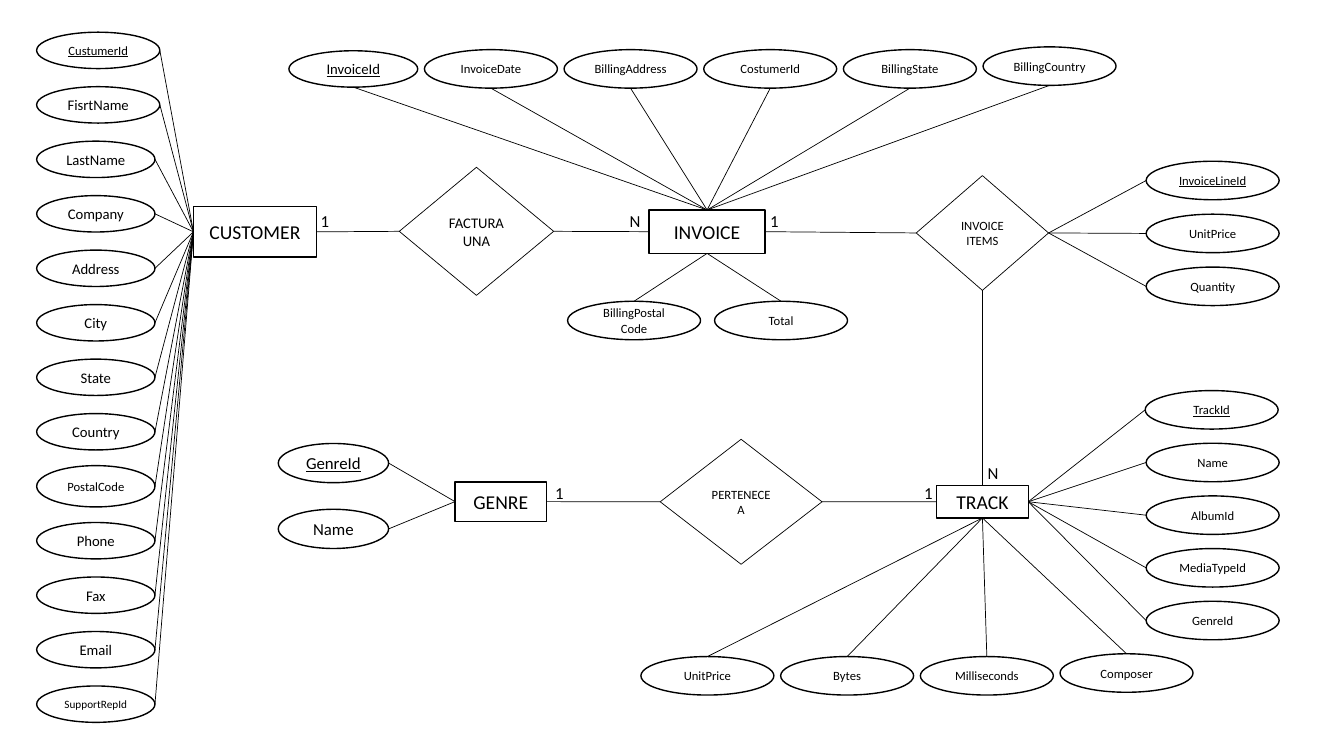
"""Build an entity-relationship diagram of a music store on one slide."""
from dataclasses import dataclass
from typing import NamedTuple

from lxml import etree
from pptx import Presentation
from pptx.dml.color import RGBColor
from pptx.enum.shapes import MSO_CONNECTOR, MSO_SHAPE
from pptx.enum.text import MSO_ANCHOR, MSO_AUTO_SIZE, PP_ALIGN
from pptx.oxml.ns import qn
from pptx.util import Pt

RECTANGLE, DIAMOND, OVAL = MSO_SHAPE.RECTANGLE, MSO_SHAPE.DIAMOND, MSO_SHAPE.OVAL
STRAIGHT = MSO_CONNECTOR.STRAIGHT
MIDDLE, CENTER, LEFT = MSO_ANCHOR.MIDDLE, PP_ALIGN.CENTER, PP_ALIGN.LEFT
GROW = MSO_AUTO_SIZE.SHAPE_TO_FIT_TEXT
SIDES = ("top", "left", "bottom", "right")
OPPOSITE = {"top": "bottom", "bottom": "top", "left": "right", "right": "left"}


@dataclass(frozen=True)
class Theme:
    """Colours, line weights and type sizes of the diagram."""
    font: str = "Calibri"
    ink: RGBColor = RGBColor(0, 0, 0)
    paper: RGBColor = RGBColor(255, 255, 255)
    outline: float = 1
    hairline: float = 0.5
    entity: float = 14
    label: float = 12
    medium: float = 10.5
    small: float = 9
    tiny: float = 8


class Box(NamedTuple):
    """Left, top, width and height in points."""
    left: float
    top: float
    width: float
    height: float

    def anchor(self, side):
        """Return the midpoint of one side."""
        across, down = {"top": (0.5, 0), "bottom": (0.5, 1),
                        "left": (0, 0.5), "right": (1, 0.5)}[side]
        return self.left + across * self.width, self.top + down * self.height


class Node(NamedTuple):
    """A drawn shape with its box and the spacing of its connection sites."""
    shape: object
    box: Box
    site_step: int


@dataclass(frozen=True)
class Attribute:
    """An attribute with any departure from its group's regular layout."""
    name: str
    size: float = 0
    key: bool = False
    width: float = 0
    height: float = 0
    dx: float = 0
    dy: float = 0


THEME = Theme()


def write(frame, text, size, align, underline=False):
    """Fill a text frame with one paragraph per line of text."""
    frame.word_wrap = True
    for index, words in enumerate(text.split("\n")):
        paragraph = frame.paragraphs[0] if index == 0 else frame.add_paragraph()
        paragraph.alignment = align
        run = paragraph.add_run()
        run.text = words
        run.font.name, run.font.size = THEME.font, Pt(size)
        run.font.color.rgb = THEME.ink
        if underline:
            run.font.underline = True


def draw_node(slide, box, kind, text, size, weight=THEME.outline, underline=False):
    """Draw an outlined shape with centred text."""
    shape = slide.shapes.add_shape(kind, *map(Pt, box))
    shape.shadow.inherit = False
    shape.fill.solid()
    shape.fill.fore_color.rgb = THEME.paper
    shape.line.color.rgb, shape.line.width = THEME.ink, Pt(weight)
    frame = shape.text_frame
    frame.margin_left = frame.margin_right = Pt(0)
    frame.vertical_anchor = MIDDLE
    write(frame, text, size, CENTER, underline)
    return Node(shape, box, 2 if kind == OVAL else 1)


def draw_entity(slide, box, name):
    """Draw an entity rectangle."""
    return draw_node(slide, box, RECTANGLE, name, THEME.entity)


def draw_relationship(slide, box, name, size=THEME.small):
    """Draw a relationship diamond."""
    return draw_node(slide, box, DIAMOND, name, size, THEME.hairline)


def join(slide, start, start_side, end, end_side):
    """Join two nodes with a line attached to both."""
    ends = (*start.box.anchor(start_side), *end.box.anchor(end_side))
    line = slide.shapes.add_connector(STRAIGHT, *map(Pt, ends))
    line.line.color.rgb, line.line.width = THEME.ink, Pt(THEME.hairline)
    etree.SubElement(line._element.spPr, qn("a:effectLst"))
    joints = line._element.nvCxnSpPr.cNvCxnSpPr
    for tag, node, side in (("a:stCxn", start, start_side), ("a:endCxn", end, end_side)):
        site = SIDES.index(side) * node.site_step
        etree.SubElement(joints, qn(tag), id=str(node.shape.shape_id), idx=str(site))


def draw_attributes(slide, box, owner, side, attributes, item=(95, 27.5), size=THEME.small):
    """Spread attribute ovals evenly over a box and join them to their owner."""
    width, height = item
    gaps = len(attributes) - 1
    across, down = (box.width - width) / gaps, (box.height - height) / gaps
    for index, attribute in enumerate(attributes):
        tall = attribute.height or height
        place = Box(box.left + index * across + attribute.dx,
                    box.top + index * down + attribute.dy + (height - tall) / 2,
                    attribute.width or width, tall)
        oval = draw_node(slide, place, OVAL, attribute.name, attribute.size or size,
                         underline=attribute.key)
        join(slide, owner, side, oval, OPPOSITE[side])


def draw_link(slide, relationship, entity, side, cardinality, offset):
    """Join a relationship to an entity and mark the cardinality."""
    join(slide, relationship, OPPOSITE[side], entity, side)
    x, y = entity.box.anchor(side)
    label = slide.shapes.add_textbox(Pt(x + offset[0]), Pt(y + offset[1]), Pt(24.5), Pt(21.8))
    label.text_frame.auto_size = GROW
    write(label.text_frame, cardinality, THEME.label, LEFT)


def draw_customer(slide, box):
    """Draw the customer entity and its column of attributes."""
    customer = draw_entity(slide, box, "CUSTOMER")
    plain = "LastName Company Address City State Country".split()
    attributes = [Attribute("CustumerId", THEME.small, key=True, width=88),
                  Attribute("FisrtName", width=88), *map(Attribute, plain),
                  Attribute("PostalCode", THEME.small, height=29.5),
                  *map(Attribute, ("Phone", "Fax", "Email")),
                  Attribute("SupportRepId", THEME.tiny)]
    column = Box(box.left - 112, box.top - 124.6, 84.5, 493)
    draw_attributes(slide, column, customer, "left", attributes, (84.5, 26), THEME.medium)
    return customer


def draw_invoice(slide, box):
    """Draw the invoice entity with attributes above and below."""
    invoice = draw_entity(slide, box, "INVOICE")
    above = [Attribute("InvoiceId", THEME.medium, key=True, width=92, height=26, dx=3),
             *map(Attribute, ("InvoiceDate", "BillingAddress", "CostumerId", "BillingState")),
             Attribute("BillingCountry", dy=-2)]
    below = [Attribute("BillingPostal\nCode"), Attribute("Total")]
    draw_attributes(slide, Box(box.left - 260.2, box.top - 114.5, 593.8, 27.5),
                    invoice, "top", above)
    draw_attributes(slide, Box(box.left - 58.2, box.top + 65.2, 200, 27.5),
                    invoice, "bottom", below)
    return invoice


def draw_items(slide, box):
    """Draw the invoice items relationship and its attributes."""
    items = draw_relationship(slide, box, "INVOICE\nITEMS")
    attributes = [Attribute("InvoiceLineId", key=True), *map(Attribute, ("UnitPrice", "Quantity"))]
    draw_attributes(slide, Box(box.left + 164.2, box.top - 10.2, 95, 103.1),
                    items, "right", attributes)
    return items


def draw_genre(slide, box):
    """Draw the genre entity and its attributes."""
    genre = draw_entity(slide, box, "GENRE")
    draw_attributes(slide, Box(box.left - 126.2, box.top - 27.4, 78.8, 75), genre, "left",
                    [Attribute("GenreId", key=True), Attribute("Name")], (78.8, 28), THEME.label)
    return genre


def draw_track(slide, box):
    """Draw the track entity with attributes to the right and below."""
    track = draw_entity(slide, box, "TRACK")
    right = [Attribute("TrackId", key=True, dx=-0.7),
             *map(Attribute, ("Name", "AlbumId", "MediaTypeId", "GenreId"))]
    below = [*map(Attribute, ("UnitPrice", "Bytes", "Milliseconds")), Attribute("Composer", dy=-2)]
    draw_attributes(slide, Box(box.left + 149.7, box.top - 67.8, 95, 178), track, "right", right)
    draw_attributes(slide, Box(box.left - 211.2, box.top + 122.2, 394.4, 27.5),
                    track, "bottom", below)
    return track


def draw_diagram(slide):
    """Place the entities and relationships and link them."""
    customer = draw_customer(slide, Box(138.2, 147.6, 88, 36))
    invoice = draw_invoice(slide, Box(463.6, 150, 83, 31))
    genre = draw_genre(slide, Box(325, 344.2, 65.5, 28.2))
    track = draw_track(slide, Box(669, 346.8, 65.5, 23.2))
    billing = draw_relationship(slide, Box(285.2, 119.5, 110.3, 91.5), "FACTURA UNA", THEME.medium)
    items = draw_items(slide, Box(654.5, 125.4, 94.5, 82))
    belonging = draw_relationship(slide, Box(471.6, 313.8, 115.6, 89.3), "PERTENECE\nA")
    draw_link(slide, billing, customer, "right", "1", (-4.3, -18.5))
    draw_link(slide, billing, invoice, "left", "N", (-21, -18.5))
    draw_link(slide, items, invoice, "right", "1", (-3.5, -18.5))
    draw_link(slide, items, track, "top", "N", (-3.4, -20))
    draw_link(slide, belonging, track, "left", "1", (-16, -17.2))
    draw_link(slide, belonging, genre, "right", "1", (-1, -17.2))


presentation = Presentation()
presentation.slide_width, presentation.slide_height = Pt(960), Pt(540)
draw_diagram(presentation.slides.add_slide(presentation.slide_layouts[6]))
presentation.save("out.pptx")
